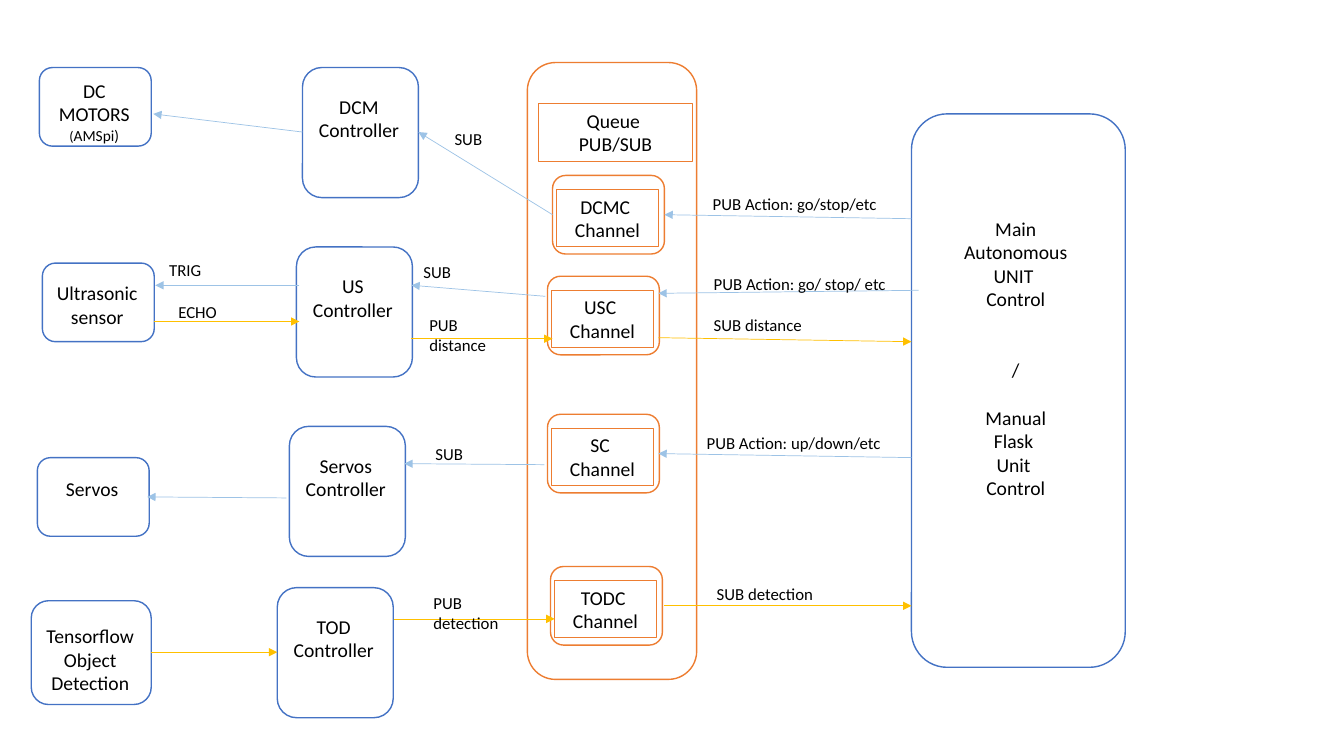
from pptx import Presentation
from pptx.dml.color import RGBColor
from pptx.enum.shapes import MSO_CONNECTOR, MSO_SHAPE
from pptx.enum.text import PP_ALIGN
from pptx.oxml.ns import qn
from pptx.util import Inches, Pt
from lxml.etree import SubElement

COLORS = {"blue": "4472C4", "orange": "ED7D31", "command": "9DC3E6",
          "data": "FFC000", "white": "FFFFFF", "black": "000000"}
CELL = Inches(1)
CONTROLLER_W, CONTROLLER_H = 1.15, 1.29
CHANNEL_W, CHANNEL_H = 1.11, 0.78


def rgb(name):
    """Return the named colour."""
    return RGBColor.from_string(COLORS[name])


def grid(*cells):
    """Turn columns and rows of one-inch cells into lengths."""
    return [round(c * CELL) for c in cells]


def add_box(s, box, color):
    """Add a white rounded box with a coloured outline."""
    sp = s.shapes.add_shape(MSO_SHAPE.ROUNDED_RECTANGLE, *grid(*box))
    sp.shadow.inherit = False
    sp.fill.solid()
    sp.fill.fore_color.rgb = rgb("white")
    sp.line.color.rgb = rgb(color)
    sp.line.width = Pt(1)


def add_text(s, box, lines, align=PP_ALIGN.CENTER, outline=None):
    """Add a text box from (text, size, space before) lines."""
    sp = s.shapes.add_textbox(*grid(*box))
    if outline:
        sp.line.color.rgb = rgb(outline)
        sp.line.width = Pt(0.75)
    tf = sp.text_frame
    tf.word_wrap = True
    for i, (text, size, before) in enumerate(lines):
        p = tf.add_paragraph() if i else tf.paragraphs[0]
        p.alignment = align
        p.space_before = Pt(before)
        r = p.add_run()
        r.text = text
        r.font.size = Pt(size)
        r.font.name = "Calibri"
        r.font.color.rgb = rgb("black")
    return tf


def add_device(s, box, drop, text, model=None):
    """Add a hardware device with its name and optional model."""
    x, y, w, h = box
    add_box(s, box, "blue")
    tf = add_text(s, (x + 0.04, y + drop, w - 0.1, h - drop), [(text, 14, 0)])
    if model:
        p = tf.add_paragraph()
        p.alignment = PP_ALIGN.CENTER
        for part, size in model:
            r = p.add_run()
            r.text = part
            r.font.size = Pt(size)
            r.font.name = "Calibri"
            r.font.color.rgb = rgb("black")


def add_controller(s, x, y, name):
    """Add a controller box with its name."""
    add_box(s, (x, y, CONTROLLER_W, CONTROLLER_H), "blue")
    add_text(s, (x + 0.04, y + 0.22, 1.04, 0.57), [(f"{name} Controller", 14, 0)])


def add_broker(s, box, channels):
    """Add the message broker and its channels."""
    x, y, w, h = box
    add_box(s, box, "orange")
    add_text(s, (x + 0.11, y + 0.41, w - 0.15, 0.57),
             [("Queue ", 14, 0), ("PUB/SUB", 14, 0)], outline="orange")
    for dx, dy, name in channels:
        cx, cy = x + dx, y + dy
        add_box(s, (cx, cy, CHANNEL_W, CHANNEL_H), "orange")
        add_text(s, (cx + 0.04, cy + 0.14, 1.01, 0.57),
                 [(f"{name} ", 14, 0), ("Channel", 14, 0)], outline="orange")


def add_main_unit(s, box):
    """Add the main control unit with its two modes."""
    x, y, w, h = box
    add_box(s, box, "blue")
    lines = [("Main", 0), ("Autonomous", 0), ("UNIT ", 0), ("Control", 0), ("/", 34),
             ("Manual", 17), ("Flask ", 0), ("Unit ", 0), ("Control", 0)]
    add_text(s, (x + 0.07, y + 0.97, w - 0.19, 2.93),
             [(text, 14, before) for text, before in lines])


def add_arrow(s, ends, color):
    """Add a thin arrow from the first point to the second."""
    c = s.shapes.add_connector(MSO_CONNECTOR.STRAIGHT, *grid(*ends))
    c.line.color.rgb = rgb(color)
    c.line.width = Pt(0.5)
    SubElement(c.line._get_or_add_ln(), qn("a:tailEnd"), type="triangle")
    SubElement(c._element.spPr, qn("a:effectLst"))


def add_links(s, arrows, labels):
    """Add the message arrows and their labels."""
    for color, all_ends in arrows.items():
        for ends in all_ends:
            add_arrow(s, ends, color)
    for x, y, w, text in labels:
        add_text(s, (x, y, w, 0.3), [(text, 12, 0)], PP_ALIGN.LEFT)


DEVICES = [
    ((0.39, 0.67, 1.11, 0.78), 0.06, "DC MOTORS", [("(", 10), ("AMSpi)", 11)]),
    ((0.42, 2.61, 1.11, 0.78), 0.13, "Ultrasonic sensor"),
    ((0.37, 4.54, 1.11, 0.78), 0.14, "Servos"),
    ((0.31, 5.96, 1.19, 1.03), 0.18, "Tensorflow Object Detection"),
]
CONTROLLERS = [(3, 0.67, "DCM"), (2.94, 2.45, "US"),
               (2.87, 4.23, "Servos"), (2.75, 5.83, "TOD")]
CHANNELS = [(0.25, 1.12, "DCMC"), (0.2, 2.12, "USC"),
            (0.2, 3.49, "SC"), (0.23, 5, "TODC")]
ARROWS = {
    "command": [(9.04, 2.17, 6.59, 2.13), (5.48, 2.13, 4.15, 1.31),
                (3, 1.31, 1.52, 1.13), (9.11, 2.88, 6.53, 2.91),
                (5.41, 2.94, 4.08, 2.83), (2.97, 2.83, 1.54, 2.83),
                (9.04, 4.54, 6.53, 4.5), (5.4, 4.61, 4.01, 4.6),
                (2.84, 4.94, 1.46, 4.93)],
    "data": [(1.53, 3.19, 2.97, 3.19), (4.08, 3.36, 5.48, 3.36),
             (6.53, 3.35, 9.04, 3.39), (1.5, 6.47, 2.75, 6.47),
             (3.91, 6.14, 5.5, 6.14), (6.59, 6.01, 9.04, 6.01)],
}
LABELS = [
    (6.97, 1.87, 2.02, "PUB Action: go/stop/etc"),
    (6.98, 2.67, 2.02, "PUB Action: go/ stop/ etc"),
    (6.91, 4.24, 2.02, "PUB Action: up/down/etc"),
    (6.98, 3.07, 1.26, "SUB distance"), (7.01, 5.74, 1.47, "SUB detection"),
    (1.58, 2.53, 2.02, "TRIG"), (1.67, 2.94, 2.02, "ECHO"),
    (4.41, 1.23, 0.72, "SUB"), (4.1, 2.55, 0.72, "SUB"), (4.22, 4.35, 0.72, "SUB"),
    (4.16, 3.07, 1.03, "PUB distance"), (4.2, 5.83, 0.85, "PUB detection"),
]


def main():
    """Build the robot architecture slide."""
    prs = Presentation()
    prs.slide_width, prs.slide_height = grid(13.33, 7.5)
    s = prs.slides.add_slide(prs.slide_layouts[6])
    for device in DEVICES:
        add_device(s, *device)
    for controller in CONTROLLERS:
        add_controller(s, *controller)
    add_broker(s, (5.23, 0.62, 1.68, 6.12), CHANNELS)
    add_main_unit(s, (9.04, 1.13, 2.12, 5.49))
    add_links(s, ARROWS, LABELS)
    prs.save("out.pptx")


if __name__ == "__main__":
    main()
